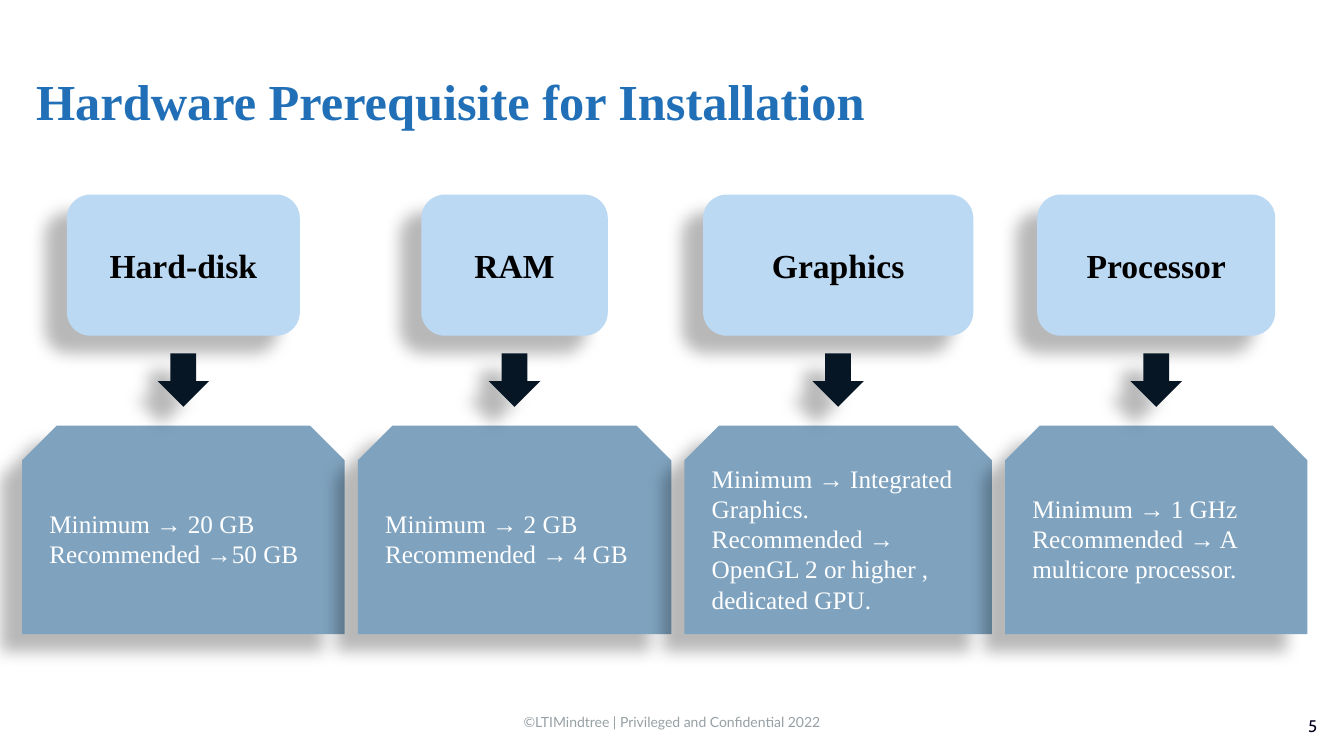
from dataclasses import dataclass

import pptx
import pptx.dml.color
import pptx.enum.shapes
import pptx.enum.text
import pptx.oxml.ns
import pptx.util
from lxml import etree

Pt = pptx.util.Pt
Align = pptx.enum.text.PP_ALIGN
Preset = pptx.enum.shapes.MSO_SHAPE


@dataclass(frozen=True)
class Theme:
    title_color: str = "2170B7"
    card_fill: str = "BCD9F3"
    card_text: str = "000000"
    detail_fill: str = "7FA3BF"
    detail_text: str = "FFFFFF"
    arrow_fill: str = "071625"
    footer_color: str = "97A0A4"
    number_color: str = "00001E"
    shadow_color: str = "000000"
    main_font: str = "Times New Roman"
    footer_font: str = "Lato"
    number_font: str = "Cabin"
    title_size: int = 36
    card_size: int = 24
    detail_size: int = 18
    number_size: int = 12
    footer_size: int = 10


THEME = Theme()

# Component, card width, detail width, requirements
COMPONENTS = [
    ("Hard-disk", 166.4, 230.4, ["Minimum → 20 GB", "Recommended →50 GB"]),
    ("RAM", 133.2, 223.9, ["Minimum → 2 GB", "Recommended → 4 GB"]),
    ("Graphics", 193, 219.6,
     ["Minimum → Integrated Graphics.",
      "Recommended → OpenGL 2 or higher , dedicated GPU."]),
    ("Processor", 170, 216,
     ["Minimum → 1 GHz", "Recommended → A multicore processor."]),
]
FIRST_LEFT, COLUMN_GAP = 15.8, 9.4
CARD_TOP, CARD_HEIGHT = 139, 100.8
ARROW_TOP, ARROW_WIDTH, ARROW_HEIGHT = 252.4, 36.8, 38.2
DETAIL_TOP, DETAIL_HEIGHT = 304, 149


def rgb(color):
    return pptx.dml.color.RGBColor.from_string(color)


def write(frame, lines, size, color, name=THEME.main_font, bold=False,
          align=Align.LEFT):
    frame.word_wrap = True
    for index, line in enumerate(lines):
        para = frame.paragraphs[0] if index == 0 else frame.add_paragraph()
        para.text = line
        para.alignment = align
        para.font.name = name
        para.font.size = Pt(size)
        para.font.bold = bold
        para.font.color.rgb = rgb(color)


def add_text(page, left, top, width, height, text, *style, **options):
    box = page.shapes.add_textbox(Pt(left), Pt(top), Pt(width), Pt(height))
    write(box.text_frame, [text], *style, **options)
    return box.text_frame


def add_shadow(shape):
    """Give the shape a soft shadow falling to the lower left."""
    shape.shadow.inherit = False
    qn = pptx.oxml.ns.qn
    effects = shape._element.spPr.find(qn("a:effectLst"))
    shadow = etree.SubElement(
        effects, qn("a:outerShdw"), blurRad=str(Pt(11.8)), dist=str(Pt(19.7)),
        dir=str(141 * 60000), algn="ctr", rotWithShape="0")
    color = etree.SubElement(shadow, qn("a:srgbClr"), val=THEME.shadow_color)
    etree.SubElement(color, qn("a:alpha"), val="28000")


def add_block(page, preset, center, top, width, height, fill):
    shape = page.shapes.add_shape(
        preset, Pt(center - width / 2), Pt(top), Pt(width), Pt(height))
    shape.fill.solid()
    shape.fill.fore_color.rgb = rgb(fill)
    shape.line.fill.background()
    shape.text_frame.vertical_anchor = pptx.enum.text.MSO_ANCHOR.MIDDLE
    add_shadow(shape)
    return shape


def column_centers():
    centers = []
    left = FIRST_LEFT
    for _, _, width, _ in COMPONENTS:
        centers.append(left + width / 2)
        left += width + COLUMN_GAP
    return centers


def add_columns(page):
    """Draw row by row, so that shadows fall on the shapes behind them."""
    centers = column_centers()
    for center, (name, width, _, _) in zip(centers, COMPONENTS):
        card = add_block(page, Preset.ROUNDED_RECTANGLE, center, CARD_TOP,
                         width, CARD_HEIGHT, THEME.card_fill)
        write(card.text_frame, [name], THEME.card_size, THEME.card_text,
              bold=True, align=Align.CENTER)
    for center, (_, _, width, lines) in zip(centers, COMPONENTS):
        detail = add_block(page, Preset.SNIP_2_SAME_RECTANGLE, center,
                           DETAIL_TOP, width, DETAIL_HEIGHT, THEME.detail_fill)
        write(detail.text_frame, lines, THEME.detail_size, THEME.detail_text)
    for center in centers:
        add_block(page, Preset.DOWN_ARROW, center, ARROW_TOP, ARROW_WIDTH,
                  ARROW_HEIGHT, THEME.arrow_fill)


def add_footer(page):
    add_text(page, 239.8, 506.2, 480.2, 19.4,
             "©LTIMindtree | Privileged and Confidential 2022",
             THEME.footer_size, THEME.footer_color, name=THEME.footer_font,
             align=Align.CENTER)
    number = add_text(page, 883.4, 506.9, 65.5, 25.2, "5", THEME.number_size,
                      THEME.number_color, name=THEME.number_font,
                      align=Align.RIGHT)
    number.margin_left = number.margin_right = Pt(8)
    number.margin_top = number.margin_bottom = Pt(4)


def main():
    deck = pptx.Presentation()
    deck.slide_width, deck.slide_height = Pt(960), Pt(540)
    page = deck.slides.add_slide(deck.slide_layouts[6])
    add_footer(page)
    title = add_text(page, 18.7, 51.1, 876.2, 50.4,
                     "Hardware Prerequisite for Installation",
                     THEME.title_size, THEME.title_color, bold=True)
    title.paragraphs[0].line_spacing = 0.9
    add_columns(page)
    deck.save("out.pptx")


if __name__ == "__main__":
    main()
